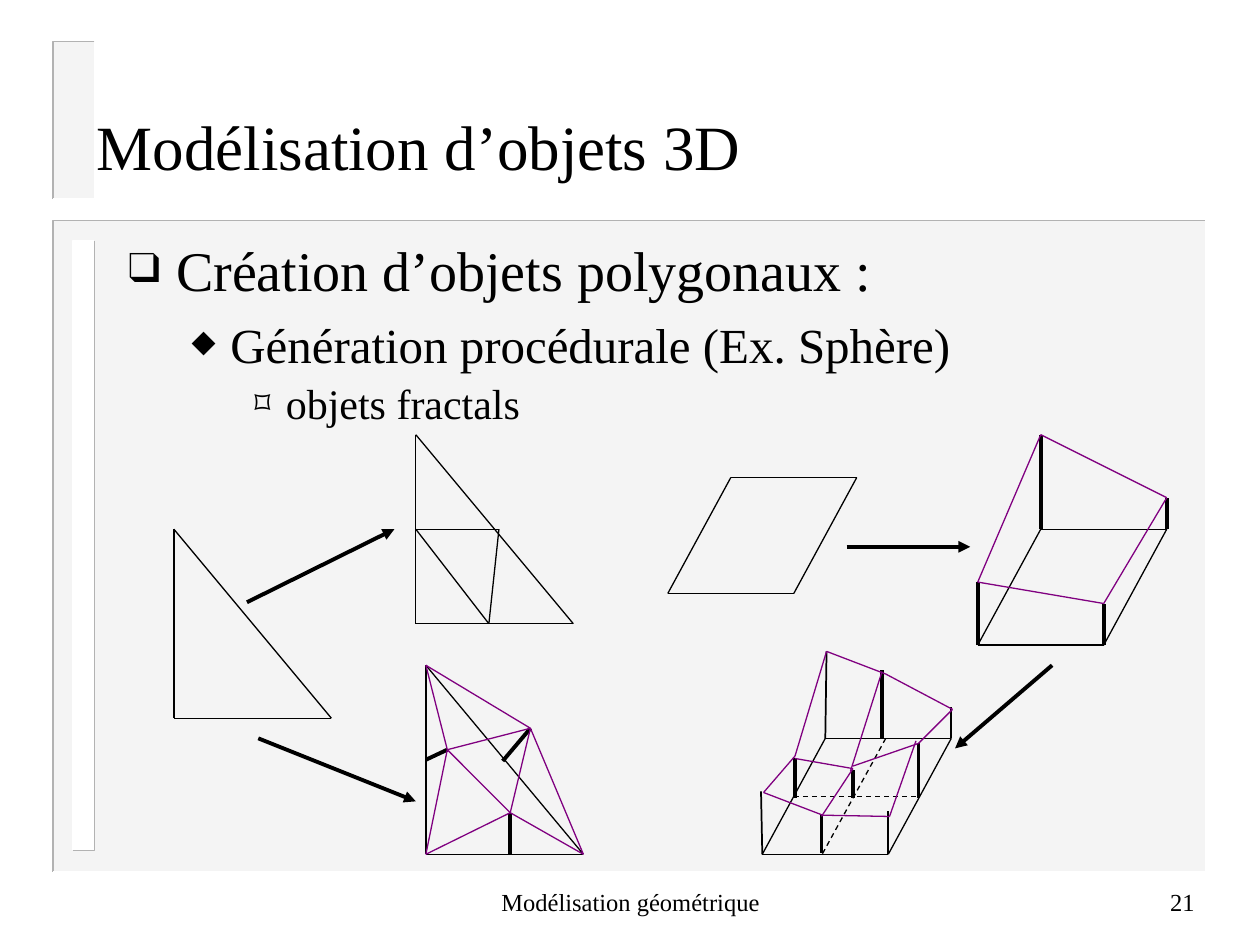
from dataclasses import dataclass
from itertools import pairwise

from lxml import etree
from pptx import Presentation
from pptx.dml.color import RGBColor
from pptx.enum.dml import MSO_LINE
from pptx.enum.shapes import MSO_CONNECTOR, MSO_SHAPE
from pptx.enum.text import MSO_ANCHOR, PP_ALIGN
from pptx.oxml.ns import qn
from pptx.util import Cm, Pt

STRAIGHT = MSO_CONNECTOR.STRAIGHT
RECTANGLE = MSO_SHAPE.RECTANGLE
DASH = MSO_LINE.DASH
TOP, MIDDLE = MSO_ANCHOR.TOP, MSO_ANCHOR.MIDDLE
LEFT, CENTER, RIGHT = PP_ALIGN.LEFT, PP_ALIGN.CENTER, PP_ALIGN.RIGHT
FONT = "Times New Roman"
BLACK, WHITE, PURPLE = "000000", "FFFFFF", "800080"
PANEL_GREY, EDGE_GREY = "EAEAEA", "B2B2B2"
THIN, MEDIUM, THICK = 0.75, 1, 2.25
CM_PER_INCH = 2.54

Point = tuple[float, float]


@dataclass
class Panel:
    left: float
    top: float
    width: float
    height: float
    fill: str
    top_left_edge: str
    bottom_right_edge: str
    opacity: int = 100


@dataclass
class Stroke:
    points: list[Point]
    color: str = BLACK
    weight: float = THIN
    dashed: bool = False
    arrow: bool = False


@dataclass
class Line:
    text: str
    size: int
    align: PP_ALIGN = LEFT
    level: int = 0
    bullet: str = ""
    margin: float = 0
    hanging: float = 0
    spacing: float = 1
    before: int = 0


def length(inches: float) -> Cm:
    return Cm(inches * CM_PER_INCH)


def rgb(color: str) -> RGBColor:
    return RGBColor.from_string(color)


def draw_edge(page, points: list[Point], color: str) -> None:
    start, *rest = [(length(x), length(y)) for x, y in points]
    builder = page.shapes.build_freeform(*start)
    builder.add_line_segments(rest, close=False)
    edge = builder.convert_to_shape()
    edge.shadow.inherit = False
    edge.fill.background()
    edge.line.color.rgb = rgb(color)
    edge.line.width = Pt(MEDIUM)


def draw_panel(page, panel: Panel) -> None:
    left, top = panel.left, panel.top
    right, bottom = left + panel.width, top + panel.height
    area = page.shapes.add_shape(
        RECTANGLE, *map(length, (left, top, panel.width, panel.height)))
    area.shadow.inherit = False
    area.line.fill.background()
    area.fill.solid()
    area.fill.fore_color.rgb = rgb(panel.fill)
    if panel.opacity < 100:
        shade = area.fill._xPr.find(".//" + qn("a:srgbClr"))
        etree.SubElement(shade, qn("a:alpha"), val=str(panel.opacity * 1000))
    start, end = (right, top), (left, bottom)
    draw_edge(page, [start, (left, top), end], panel.top_left_edge)
    draw_edge(page, [start, (right, bottom), end], panel.bottom_right_edge)


def draw_stroke(page, stroke: Stroke) -> None:
    for (x1, y1), (x2, y2) in pairwise(stroke.points):
        segment = page.shapes.add_connector(STRAIGHT, *map(length, (x1, y1, x2, y2)))
        segment.line.color.rgb = rgb(stroke.color)
        segment.line.width = Pt(stroke.weight)
        if stroke.dashed:
            segment.line.dash_style = DASH
        if stroke.arrow:
            etree.SubElement(segment.line._get_or_add_ln(), qn("a:tailEnd"), type="triangle")
        etree.SubElement(segment._element.spPr, qn("a:effectLst"))


def add_bullet(para, line: Line) -> None:
    props = para._p.get_or_add_pPr()
    props.set("marL", str(length(line.margin)))
    props.set("indent", str(-length(line.hanging)))
    etree.SubElement(etree.SubElement(props, qn("a:buClr")), qn("a:srgbClr"), val=BLACK)
    etree.SubElement(props, qn("a:buSzPct"), val="75000")
    etree.SubElement(props, qn("a:buFont"), typeface=FONT)
    etree.SubElement(props, qn("a:buChar"), char=line.bullet)


def add_text(page, left: float, top: float, width: float, height: float,
             lines: list[Line], anchor: MSO_ANCHOR = MIDDLE) -> None:
    box = page.shapes.add_textbox(*map(length, (left, top, width, height)))
    frame = box.text_frame
    frame.word_wrap = True
    frame.vertical_anchor = anchor
    for index, line in enumerate(lines):
        para = frame.add_paragraph() if index else frame.paragraphs[0]
        para.alignment = line.align
        para.level = line.level
        para.line_spacing = line.spacing
        para.space_before = Pt(line.before)
        if line.bullet:
            add_bullet(para, line)
        span = para.add_run()
        span.text = line.text
        span.font.name = FONT
        span.font.size = Pt(line.size)
        span.font.color.rgb = rgb(BLACK)


def triangle(left: float, top: float) -> Stroke:
    apex, corner = (left, top), (left, top + 1.5)
    return Stroke([apex, corner, (left + 1.25, top + 1.5), apex])


def parallelogram(left: float, bottom: float) -> Stroke:
    start, top = (left, bottom), bottom - 0.92
    return Stroke([start, (left + 0.5, top), (left + 1.5, top), (left + 1, bottom), start])


def post(x: float, bottom: float, top: float, weight: float = THICK) -> Stroke:
    return Stroke([(x, bottom), (x, top)], weight=weight)


def arrow(start: Point, end: Point) -> Stroke:
    return Stroke([start, end], weight=THICK, arrow=True)


PANELS = [
    Panel(0.42, 1.75, 9.15, 5.17, PANEL_GREY, EDGE_GREY, WHITE, 50),
    Panel(0.58, 1.91, 0.17, 4.84, WHITE, WHITE, EDGE_GREY),
    Panel(0.42, 0.33, 0.33, 1.25, PANEL_GREY, EDGE_GREY, WHITE, 50),
]

TERRAIN = [
    parallelogram(5.3, 4.71),
    parallelogram(7.76, 5.12),
    post(8.26, 4.2, 3.45), post(7.76, 5.12, 4.62),
    post(8.76, 5.12, 4.79), post(9.26, 4.2, 3.95),
    Stroke([(8.26, 3.45), (7.76, 4.62), (8.76, 4.79), (9.26, 3.95), (8.26, 3.45)], PURPLE),
    parallelogram(6.05, 6.78),
    Stroke([(6.55, 5.86), (6.56, 5.17)], weight=MEDIUM),
    Stroke([(6.05, 6.78), (6.04, 6.28)], weight=MEDIUM),
    post(7.05, 6.78, 6.44, MEDIUM), post(7.55, 5.86, 5.61, MEDIUM),
    Stroke([(6.3, 6.32), (7.28, 6.32)], dashed=True),
    Stroke([(7.03, 5.86), (6.52, 6.79)], dashed=True),
    post(6.31, 6.33, 6.02), post(6.52, 6.77, 6.46), post(7.29, 6.33, 5.9),
    post(7, 5.86, 5.32), post(6.77, 6.33, 6.11),
    Stroke([(7.06, 6.48), (6.53, 6.47), (6.06, 6.29), (6.31, 6), (6.56, 5.17),
            (7.03, 5.35), (7.56, 5.63), (7.29, 5.9)], PURPLE),
    Stroke([(7.27, 5.88), (7.06, 6.48)], PURPLE),
    Stroke([(6.31, 6.02), (6.77, 6.1), (6.52, 6.48)], PURPLE),
    Stroke([(7.29, 5.9), (6.77, 6.08)], PURPLE),
    Stroke([(6.75, 6.12), (7, 5.33)], PURPLE),
    arrow((6.72, 4.34), (7.7, 4.34)),
    arrow((8.35, 5.28), (7.58, 5.94)),
]

APEX, CORNER, TIP = (3.38, 5.28), (3.38, 6.78), (4.63, 6.78)
LEFT_PEAK, RIGHT_PEAK, LOW_PEAK = (3.55, 5.95), (4.21, 5.78), (4.05, 6.45)

TRIANGLES = [
    triangle(1.38, 4.2),
    triangle(3.3, 3.45),
    Stroke([(3.3, 4.2), (3.88, 4.95), (3.96, 4.2), (3.3, 4.2)]),
    triangle(*APEX),
    Stroke([(3.38, 6.03), LEFT_PEAK], weight=THICK),
    Stroke([(4.05, 6.78), LOW_PEAK], weight=THICK),
    Stroke([(3.99, 6.04), RIGHT_PEAK], weight=THICK),
    Stroke([LEFT_PEAK, RIGHT_PEAK, LOW_PEAK, LEFT_PEAK], PURPLE),
    Stroke([LEFT_PEAK, APEX, RIGHT_PEAK, TIP, LOW_PEAK, CORNER, LEFT_PEAK], PURPLE),
    arrow((1.96, 4.78), (3.13, 4.2)),
    arrow((2.05, 5.86), (3.3, 6.36)),
]

OUTLINE = [
    Line("Création d’objets polygonaux :", 32, bullet="❑",
         margin=0.38, hanging=0.38, spacing=0.8, before=8),
    Line("Génération procédurale (Ex. Sphère)", 28, level=1, bullet="⬥",
         margin=0.81, hanging=0.31, before=7),
    Line("objets fractals", 24, level=2, bullet="⌑",
         margin=1.25, hanging=0.25, spacing=0.9, before=6),
]


def main() -> None:
    deck = Presentation()
    deck.slide_width, deck.slide_height = Cm(25.4), Cm(19.05)
    page = deck.slides.add_slide(deck.slide_layouts[6])
    for panel in PANELS:
        draw_panel(page, panel)
    add_text(page, 3.42, 6.91, 3.17, 0.5, [Line("Modélisation géométrique", 14, CENTER)])
    add_text(page, 7.5, 6.91, 2.08, 0.5, [Line("21", 14, RIGHT)])
    add_text(page, 0.67, 0.78, 8.5, 0.75, [Line("Modélisation d’objets 3D", 36)])
    add_text(page, 0.92, 1.92, 8.5, 4.92, OUTLINE, TOP)
    for stroke in TERRAIN + TRIANGLES:
        draw_stroke(page, stroke)
    deck.save("out.pptx")


if __name__ == "__main__":
    main()
